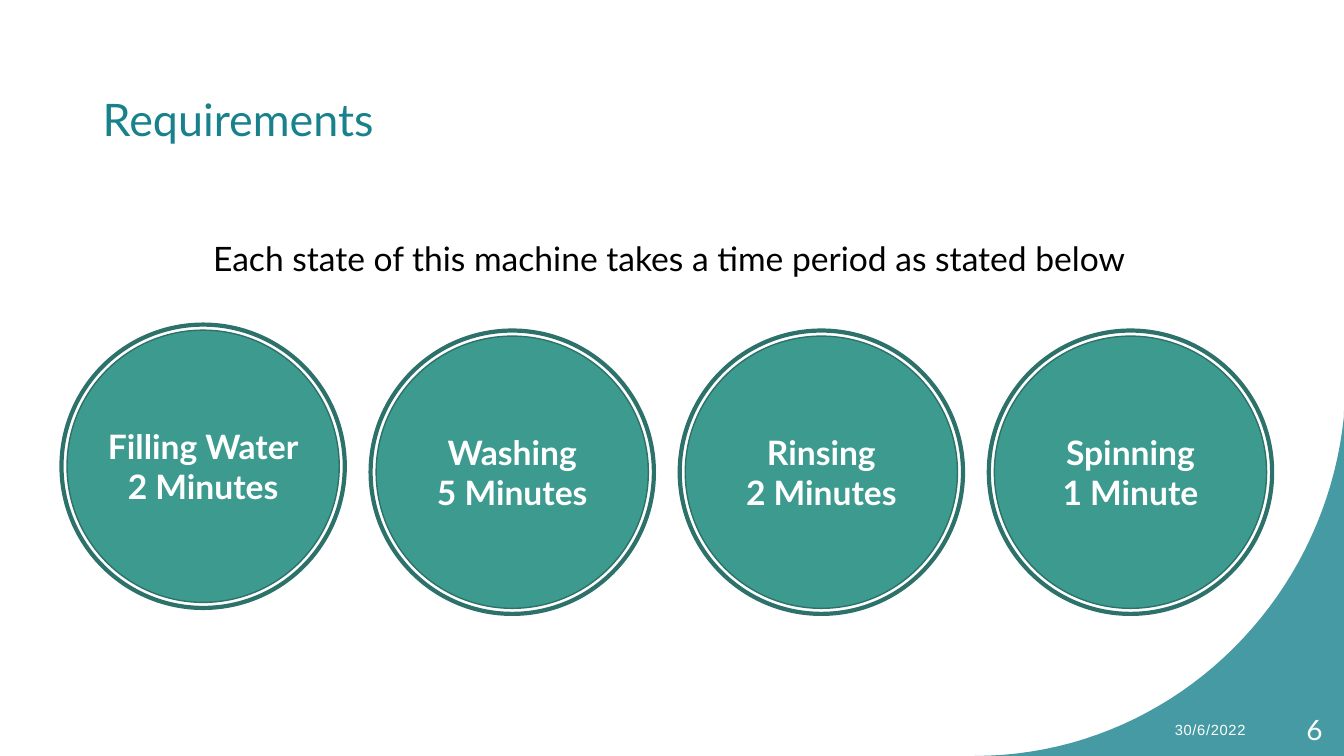
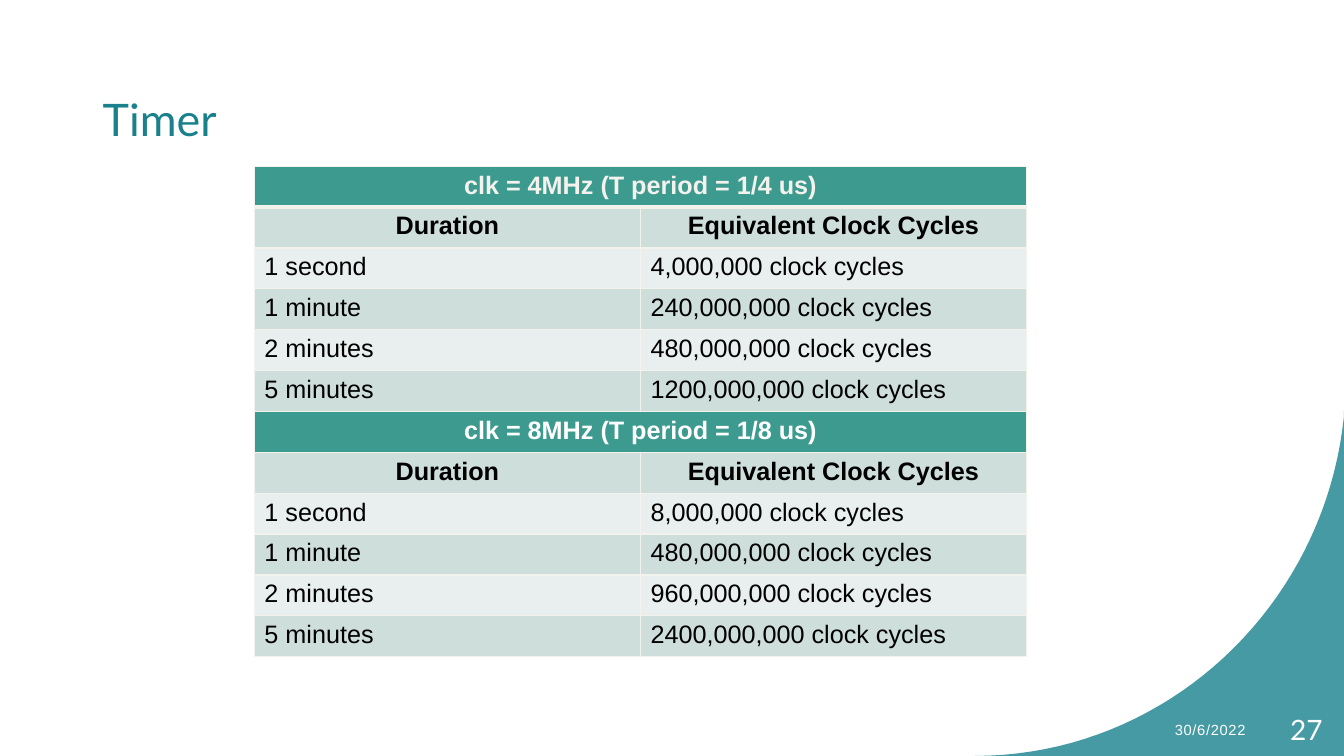
from lxml import etree
from pptx import Presentation
from pptx import util as u
from pptx.dml.color import RGBColor
from pptx.enum import shapes, text
from pptx.oxml import ns

Cm, Pt = u.Cm, u.Pt
TEAL = RGBColor(0x18, 0x81, 0x8C)
GREEN = RGBColor(0x3C, 0x9A, 0x8F)
DARK_GREEN = RGBColor(0x2C, 0x72, 0x6A)
PALE = RGBColor(0xCE, 0xDE, 0xDB)
PALER = RGBColor(0xE8, 0xEF, 0xEE)
CREAM = RGBColor(0xF4, 0xF2, 0xEC)
WHITE = RGBColor(0xFF, 0xFF, 0xFF)
BLACK = RGBColor(0, 0, 0)
LEFT, CENTER, RIGHT = text.PP_ALIGN.LEFT, text.PP_ALIGN.CENTER, text.PP_ALIGN.RIGHT
TOP, MIDDLE = text.MSO_ANCHOR.TOP, text.MSO_ANCHOR.MIDDLE
PAGE_WIDTH, PAGE_HEIGHT = Cm(33.87), Cm(19.05)

STATES = [
    ("Filling Water", "2 Minutes", 8.18),
    ("Washing", "5 Minutes", 8.33),
    ("Rinsing", "2 Minutes", 8.33),
    ("Spinning", "1 Minute", 8.33),
]
DURATIONS = ["1 second", "1 minute", "2 minutes", "5 minutes"]
CLOCKS = [
    ("clk = 4MHz (T period = 1/4 us)", CREAM,
     ["4,000,000", "240,000,000", "480,000,000", "1200,000,000"]),
    ("clk = 8MHz (T period = 1/8 us)", WHITE,
     ["8,000,000", "480,000,000", "960,000,000", "2400,000,000"]),
]


def add_span(para, words, size, color, font="Lato", bold=False, align=LEFT):
    """Add one styled run to a paragraph and return it."""
    para.alignment = align
    span = para.add_run()
    span.text = words
    span.font.name, span.font.size, span.font.bold = font, Pt(size), bold
    span.font.color.rgb = color
    return span


def add_label(page, box, words, size, color, anchor=MIDDLE, **style):
    """Place a one-paragraph text box and return its paragraph."""
    frame = page.shapes.add_textbox(*box).text_frame
    frame.word_wrap = True
    frame.vertical_anchor = anchor
    para = frame.paragraphs[0]
    add_span(para, words, size, color, **style)
    return para


def add_corner(page, box):
    """Draw the translucent curved corner inside the box."""
    left, top, width, height = box
    right, bottom = left + width, top + height
    controls = [(left, bottom), (left + Cm(4.83), bottom),
                (right - Cm(0.49), top + Cm(4.93)), (right, top + Cm(0.13))]
    curve = []
    for step in range(1, 41):
        t = step / 40
        weights = ((1 - t) ** 3, 3 * t * (1 - t) ** 2, 3 * t ** 2 * (1 - t), t ** 3)
        curve.append(tuple(round(sum(w * point[axis] for w, point in zip(weights, controls)))
                           for axis in (0, 1)))
    builder = page.shapes.build_freeform(left, bottom)
    builder.add_line_segments(curve + [(right, top), (right, bottom)], close=True)
    corner = builder.convert_to_shape()
    corner.shadow.inherit = False
    corner.fill.solid()
    corner.fill.fore_color.rgb = TEAL
    corner.line.fill.background()
    color = corner._element.spPr.find(".//" + ns.qn("a:srgbClr"))
    etree.SubElement(color, ns.qn("a:alpha"), val="80000")


def add_page(deck, title, number):
    """Add a page with the shared corner, title, date and number."""
    page = deck.slides.add_slide(deck.slide_layouts[6])
    width, height = Cm(9.31), Cm(8.69)
    add_corner(page, (PAGE_WIDTH - width, PAGE_HEIGHT - height, width, height))
    heading = add_label(page, (Cm(2.34), Cm(1.24), Cm(29.31), Cm(3.68)), title, 32, TEAL)
    heading.line_spacing = 0.9
    date = add_label(page, (Cm(25.04), Cm(17.88), Cm(6.6), Cm(1.02)), "30/6/2022",
                     10.5, WHITE, font="Arial", align=RIGHT)
    date.runs[0]._r.get_or_add_rPr().set("spc", "50")
    add_label(page, (Cm(31.65), Cm(17.88), Cm(1.93), Cm(1.02)), str(number),
              20, WHITE, align=RIGHT)
    return page


def add_disc(group, box, fill, line_width):
    """Draw one outlined circle in a group."""
    disc = group.shapes.add_shape(shapes.MSO_SHAPE.OVAL, *box)
    disc.shadow.inherit = False
    disc.fill.solid()
    disc.fill.fore_color.rgb = fill
    disc.line.color.rgb = DARK_GREEN
    disc.line.width = Pt(line_width)
    return disc


def add_state(page, box, lines):
    """Draw a ringed circle with centred lines of text."""
    left, top, width, height = box
    gap = Cm(0.14)
    group = page.shapes.add_group_shape()
    add_disc(group, box, WHITE, 3)
    disc = add_disc(group, (left + gap, top + gap, width - 2 * gap, height - 2 * gap), GREEN, 1)
    frame = disc.text_frame
    frame.word_wrap = False
    frame.vertical_anchor = MIDDLE
    for index, line in enumerate(lines):
        para = frame.add_paragraph() if index else frame.paragraphs[0]
        add_span(para, line, 24, WHITE, bold=True, align=CENTER)


def set_borders(cell, top=1, bottom=1):
    """Give a cell cream borders with widths in points."""
    props = cell._tc.get_or_add_tcPr()
    for index, (side, width) in enumerate([("L", 1), ("R", 1), ("T", top), ("B", bottom)]):
        line = etree.Element(ns.qn("a:ln" + side), w=str(Pt(width)))
        fill = etree.SubElement(line, ns.qn("a:solidFill"))
        etree.SubElement(fill, ns.qn("a:srgbClr"), val=str(CREAM))
        props.insert(index, line)


def fill_cell(cell, words, fill, color=BLACK, bold=False, align=LEFT):
    """Fill a table cell and write its text."""
    cell.fill.solid()
    cell.fill.fore_color.rgb = fill
    add_span(cell.text_frame.paragraphs[0], words, 18, color, "Arial", bold, align)


def add_clock_table(page, box):
    """Place the table of durations for every clock rate."""
    block = len(DURATIONS) + 2
    rows = block * len(CLOCKS)
    table = page.shapes.add_table(rows, 2, *box).table
    table.first_row = table.horz_banding = False
    for row in table.rows:
        row.height = Cm(1.03)
    table.rows[0].height = Cm(0.96)
    for number, (heading, color, cycles) in enumerate(CLOCKS):
        start = number * block
        table.cell(start, 0).merge(table.cell(start, 1))
        fill_cell(table.cell(start, 0), heading, GREEN, color, True, CENTER)
        for column, name in enumerate(["Duration", "Equivalent Clock Cycles"]):
            fill_cell(table.cell(start + 1, column), name, PALE, bold=True, align=CENTER)
        for index, (duration, count) in enumerate(zip(DURATIONS, cycles)):
            fill = PALE if index % 2 else PALER
            for column, words in enumerate([duration, count + " clock cycles"]):
                fill_cell(table.cell(start + 2 + index, column), words, fill)
    for row in range(rows):
        for column in range(2):
            set_borders(table.cell(row, column), top=3 if row == 1 else 1,
                        bottom=3 if row == 0 else 1)


def build_requirements(deck):
    """Build the page of states and their periods."""
    page = add_page(deck, "Requirements", 6)
    add_label(page, (Cm(1.55), Cm(5.87), Cm(30.63), Cm(1.27)),
              "Each state of this machine takes a time period as stated below",
              24, BLACK, anchor=TOP, align=CENTER)
    for index, (name, period, top) in enumerate(STATES):
        box = (Cm(1.55 + 7.79 * index), Cm(top), Cm(7.14), Cm(7.14))
        add_state(page, box, (name, period))


def build_timer(deck):
    """Build the page of clock cycles."""
    page = add_page(deck, "Timer", 27)
    add_clock_table(page, (Cm(6.41), Cm(4.2), Cm(19.46), Cm(12.34)))


def main():
    """Build and save the deck."""
    deck = Presentation()
    deck.slide_width, deck.slide_height = PAGE_WIDTH, PAGE_HEIGHT
    build_requirements(deck)
    build_timer(deck)
    deck.save("out.pptx")


if __name__ == "__main__":
    main()
